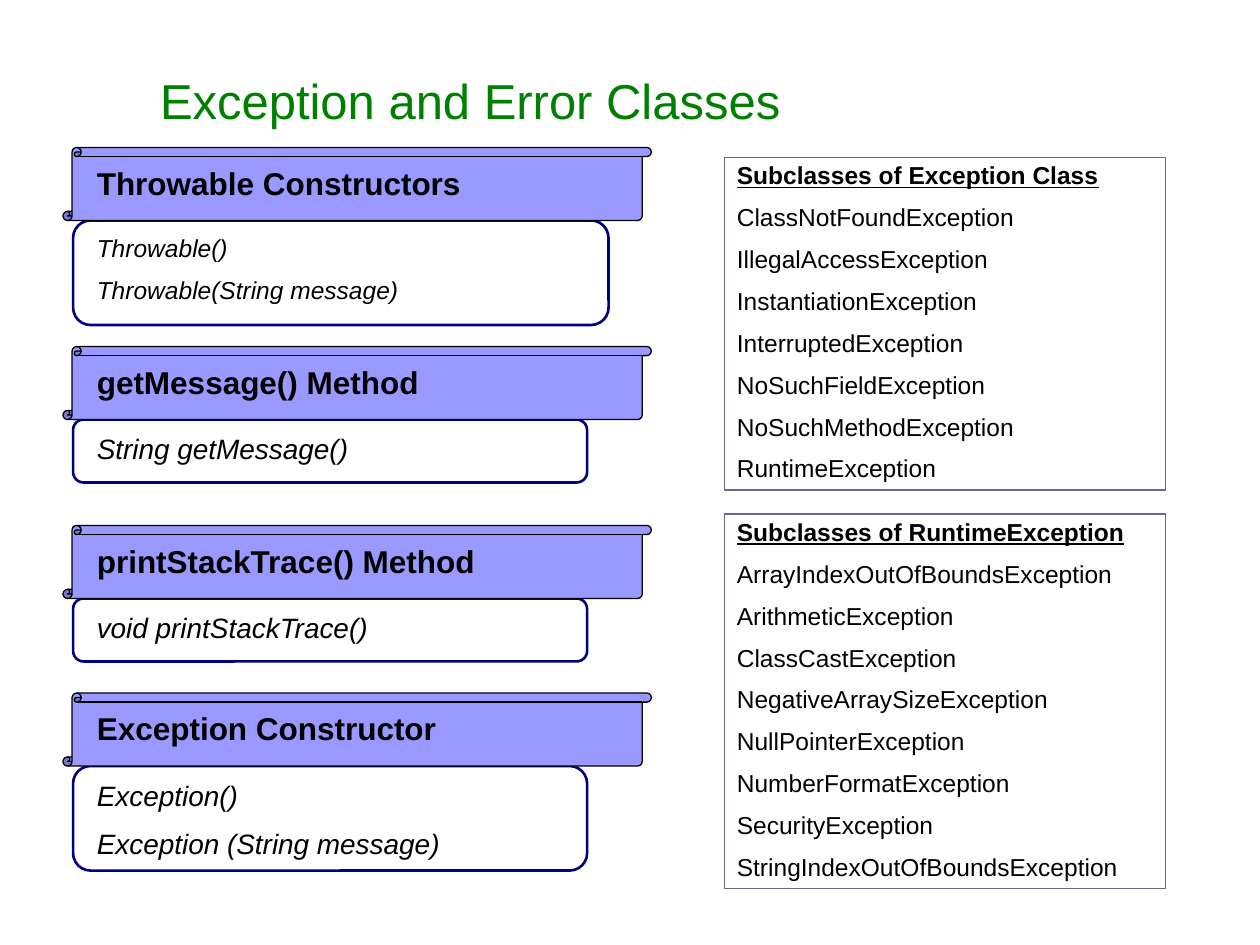
from dataclasses import dataclass

import pptx
import pptx.dml.color
import pptx.enum.shapes
import pptx.enum.text
import pptx.util

Inches = pptx.util.Inches
Pt = pptx.util.Pt
RGBColor = pptx.dml.color.RGBColor
MSO_SHAPE = pptx.enum.shapes.MSO_SHAPE
PP_ALIGN = pptx.enum.text.PP_ALIGN
MSO_ANCHOR = pptx.enum.text.MSO_ANCHOR
MSO_AUTO_SIZE = pptx.enum.text.MSO_AUTO_SIZE

GREEN = RGBColor(0x00, 0x80, 0x00)
NAVY = RGBColor(0x00, 0x00, 0x80)
LILAC = RGBColor(0x99, 0x99, 0xFF)
SLATE = RGBColor(0x66, 0x66, 0x99)
BLACK = RGBColor(0x00, 0x00, 0x00)

SCROLL_HEIGHT = 0.58
TEXT_LEFT = 0.67
TEXT_OFFSET = 0.08
TITLE_FORMAT = {"size": Pt(28), "color": GREEN}
HEADING_FORMAT = {"size": Pt(18), "bold": True}
CLASS_FORMAT = {"size": Pt(14)}
CLASS_HEADING_FORMAT = {"size": Pt(14), "bold": True, "underline": True}


@dataclass
class Section:
    top: float
    heading: str
    signatures: list[str]
    size: int
    frame_width: float
    frame_height: float
    text_height: float


@dataclass
class ClassList:
    top: float
    height: float
    heading: str
    classes: list[str]


SECTIONS = [
    Section(1.17, "Throwable Constructors",
            ["Throwable()", "Throwable(String message)"], 14, 4.25, 0.83, 0.64),
    Section(2.75, "getMessage() Method",
            ["String getMessage()"], 16, 4.08, 0.5, 0.34),
    Section(4.17, "printStackTrace() Method",
            ["void printStackTrace()"], 16, 4.08, 0.5, 0.34),
    Section(5.5, "Exception Constructor",
            ["Exception()", "Exception (String message)"], 16, 4.08, 0.83, 0.72),
]

CLASS_LISTS = [
    ClassList(1.25, 2.64, "Subclasses of Exception Class", [
        "ClassNotFoundException", "IllegalAccessException",
        "InstantiationException", "InterruptedException",
        "NoSuchFieldException", "NoSuchMethodException", "RuntimeException",
    ]),
    ClassList(4.08, 2.97, "Subclasses of RuntimeException", [
        "ArrayIndexOutOfBoundsException", "ArithmeticException",
        "ClassCastException", "NegativeArraySizeException",
        "NullPointerException", "NumberFormatException",
        "SecurityException", "StringIndexOutOfBoundsException",
    ]),
]


def write_lines(tf, lines: list[tuple[str, dict]], spacing: float = 1.0,
                before: float = 0, anchor=MSO_ANCHOR.TOP) -> None:
    """Fill a text frame with one formatted paragraph for each line."""
    tf.word_wrap = True
    tf.auto_size = MSO_AUTO_SIZE.NONE
    tf.vertical_anchor = anchor
    for i, (text, formats) in enumerate(lines):
        p = tf.add_paragraph() if i else tf.paragraphs[0]
        p.alignment = PP_ALIGN.LEFT
        p.line_spacing = spacing
        p.space_before = Pt(before if i else 0)
        r = p.add_run()
        r.text = text
        values = {"name": "Arial", "color": BLACK} | formats
        r.font.color.rgb = values.pop("color")
        for name, value in values.items():
            setattr(r.font, name, value)


def add_outlined(slide, kind, box: tuple[float, ...], line: RGBColor,
                 width: float, fill: RGBColor | None = None):
    sp = slide.shapes.add_shape(kind, *map(Inches, box))
    sp.shadow.inherit = False
    sp.line.color.rgb = line
    sp.line.width = Pt(width)
    if fill is None:
        sp.fill.background()
    else:
        sp.fill.solid()
        sp.fill.fore_color.rgb = fill
    return sp


def add_text(slide, box: tuple[float, ...], lines: list[tuple[str, dict]],
             spacing: float = 1.0, before: float = 0) -> None:
    s = slide.shapes.add_textbox(*map(Inches, box))
    write_lines(s.text_frame, lines, spacing, before)


def add_section(slide, section: Section) -> None:
    """Draw a scroll heading with its framed signatures below."""
    frame_top = section.top + SCROLL_HEIGHT
    frame = add_outlined(
        slide, MSO_SHAPE.ROUNDED_RECTANGLE,
        (0.58, frame_top, section.frame_width, section.frame_height), NAVY, 1.5)
    frame.adjustments[0] = 0.167
    formats = {"size": Pt(section.size), "italic": True}
    add_text(slide, (TEXT_LEFT, frame_top + TEXT_OFFSET, 3.83, section.text_height),
             [(text, formats) for text in section.signatures],
             0.9, 8.8 if section.size == 14 else 10)
    add_outlined(slide, MSO_SHAPE.VERTICAL_SCROLL,
                 (0.5, section.top, 4.67, SCROLL_HEIGHT), BLACK, 0.75, LILAC)
    add_text(slide, (TEXT_LEFT, section.top + TEXT_OFFSET, 4.42, 0.4),
             [(section.heading, HEADING_FORMAT)])


def add_class_list(slide, item: ClassList) -> None:
    sp = add_outlined(slide, MSO_SHAPE.RECTANGLE,
                      (5.75, item.top, 3.5, item.height), SLATE, 0.75)
    lines = [(item.heading, CLASS_HEADING_FORMAT)]
    lines += [(name, CLASS_FORMAT) for name in item.classes]
    write_lines(sp.text_frame, lines, 0.9, 8.8)


def main() -> None:
    prs = pptx.Presentation()
    prs.slide_width, prs.slide_height = Inches(10), Inches(7.5)
    slide = prs.slides.add_slide(prs.slide_layouts.get_by_name("Title Only"))
    title = slide.shapes.title
    title.left, title.top = Inches(1.17), Inches(0.5)
    title.width, title.height = Inches(5.83), Inches(0.58)
    write_lines(title.text_frame, [("Exception and Error Classes", TITLE_FORMAT)],
                anchor=MSO_ANCHOR.MIDDLE)
    for section in SECTIONS:
        add_section(slide, section)
    for item in CLASS_LISTS:
        add_class_list(slide, item)
    prs.save("out.pptx")


if __name__ == "__main__":
    main()
